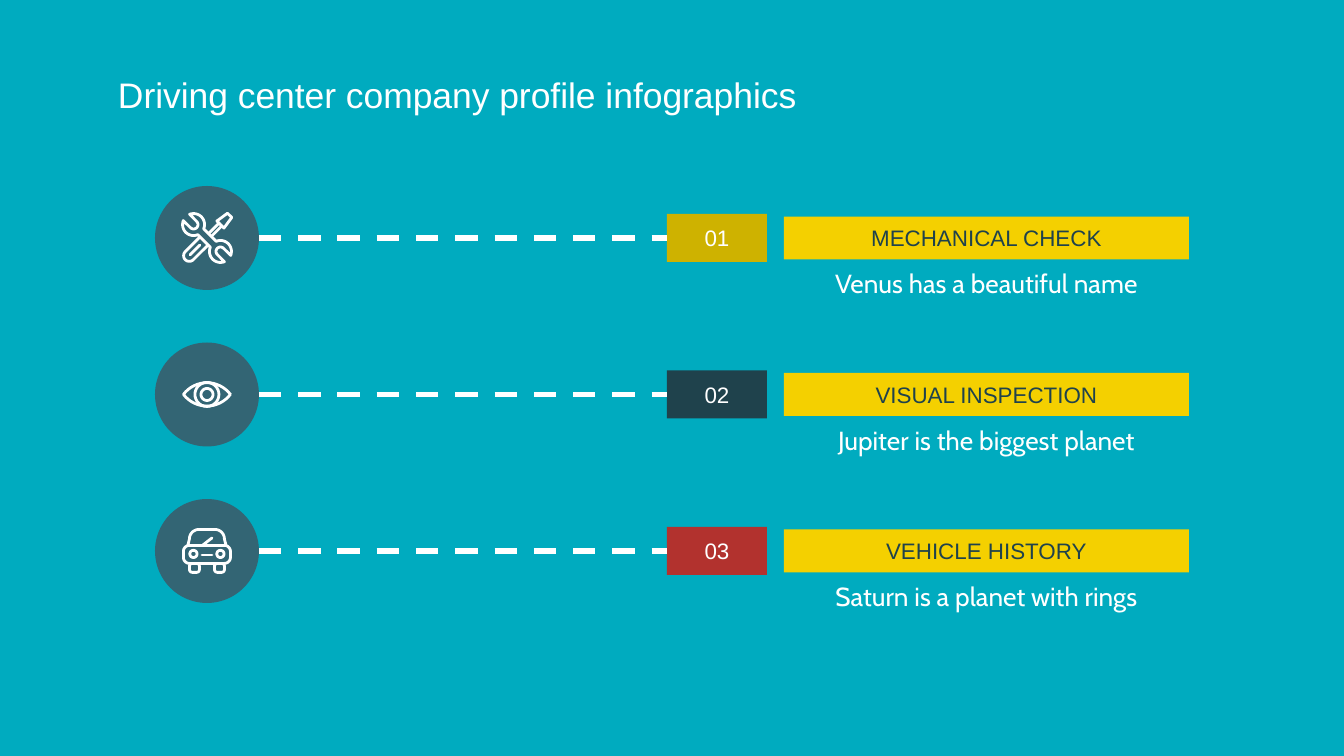
from math import asin, cos, degrees, hypot, radians, sin
from lxml.etree import SubElement
from pptx import Presentation
from pptx.dml.color import RGBColor
from pptx.enum.dml import MSO_LINE
from pptx.enum.shapes import MSO_CONNECTOR as Link, MSO_SHAPE as Shape
from pptx.enum.text import MSO_ANCHOR as Anchor, PP_ALIGN as Align
from pptx.oxml.ns import qn
from pptx.util import Pt

PX = 914400 / 134.4
HUE = {"back": "00ABBF", "white": "FFFFFF", "label": "F4D000", "dark": "1F424C",
       "disc": "336574", "gold": "CEB200", "red": "B2322E"}
TITLE = "Driving center company profile infographics"
ROWS = [
    ("01", "gold", "MECHANICAL CHECK", "Venus has a beautiful name", "tools"),
    ("02", "dark", "VISUAL INSPECTION", "Jupiter is the biggest planet", "eye"),
    ("03", "red", "VEHICLE HISTORY", "Saturn is a planet with rings", "car"),
]
TOP, STEP = 238, 156.5
DISC_X, DISC_R = 207, 52
BADGE_X, BADGE_W, BADGE_H = 667, 100, 48
LABEL_X, LABEL_W, LABEL_H = 784, 405, 43
PAD, STROKE = 13, 1.5

deck = Presentation()
deck.slide_width, deck.slide_height = round(1344 * PX), round(756 * PX)
slide = deck.slides.add_slide(deck.slide_layouts[6])
pool = slide.shapes


def arc(x, y, r, start, end, steps=16):
    turns = [radians(start + (end - start) * i / steps) for i in range(steps + 1)]
    return [(x + r * cos(t), y + r * sin(t)) for t in turns]


def ring(x, y, r):
    return arc(x, y, r, 0, 360, 32)


def close(path):
    return path + path[:1]


def turn(path, angle):
    c, s = cos(radians(angle)), sin(radians(angle))
    return [(x * c - y * s, x * s + y * c) for x, y in path]


def soft_box(x, y, w, h, r):
    a, b = w / 2 - r, h / 2 - r
    spots = [(a, b), (-a, b), (-a, -b), (a, -b)]
    return close([p for i, (dx, dy) in enumerate(spots)
                  for p in arc(x + dx, y + dy, r, 90 * i, 90 * i + 90)])


def eye():
    half, rise = 23.5, 11.7
    r = hypot(half, rise) ** 2 / (2 * rise)
    sweep = degrees(asin(half / r))
    lid = arc(0, r - rise, r, -90 - sweep, -90 + sweep)
    return [close(lid + turn(lid, 180)), ring(0, 0, 12), ring(0, 0, 6)]


def car():
    roof = arc(-8, -12, 9.5, 180, 270) + arc(8, -12, 9.5, 270, 360)
    cabin = [(-19, -6)] + roof + [(19, -6)]
    body = soft_box(0, 3.5, 47, 18, 6)
    wiper, grille = [(-4, -6), (5, -13)], [(-5, 4), (5, 4)]
    sides = [part for s in (-1, 1)
             for part in (ring(s * 13.5, 3, 3.6), soft_box(s * 12.5, 17, 10, 9, 3))]
    return [cabin, body, wiper, grille] + sides


def tools():
    reach, head, jaw = 19, 11, 4.4
    half = (arc(0, -reach, head, -66, 68) + arc(0, reach, head, -68, 66)
            + arc(0, reach, jaw, 0, -180))
    wrench = close(half + turn(half, 180))
    tip = close([(-3, -32), (3, -32), (5, -19), (-5, -19)])
    shaft = [[(x, -19), (x, -5)] for x in (-2, 2)]
    grip = [(5.7, 5)] + arc(0, 25, 5.7, 0, 180) + [(-5.7, 5)]
    slot = [(0, 10), (0, 24)]
    driver = [tip, grip, slot] + shaft
    return [turn(wrench, -45)] + [turn(part, 45) for part in driver]


ICONS = {"tools": tools(), "eye": eye(), "car": car()}


def rgb(name):
    return RGBColor.from_string(HUE[name])


def emu(*sizes):
    return [round(n * PX) for n in sizes]


def block(kind, hue, *box):
    shape = pool.add_shape(kind, *emu(*box))
    shape.shadow.inherit = False
    shape.fill.solid()
    shape.fill.fore_color.rgb = rgb(hue)
    shape.line.fill.background()
    return shape


def write(shape, text, size, hue="white", font="Arial", align=Align.CENTER,
          anchor=Anchor.MIDDLE):
    frame = shape.text_frame
    frame.text = text
    frame.word_wrap = True
    frame.vertical_anchor = anchor
    frame.margin_left = frame.margin_right = round(PAD * PX)
    frame.margin_top = frame.margin_bottom = round(PAD * PX)
    para = frame.paragraphs[0]
    para.alignment = align
    face = para.runs[0].font
    face.size, face.name, face.color.rgb = Pt(size), font, rgb(hue)


def ink(shape, width):
    shape.line.color.rgb = rgb("white")
    shape.line.width = Pt(width)


def link(start, end, width):
    line = pool.add_connector(Link.STRAIGHT, *emu(*start, *end))
    ink(line, width)
    SubElement(line.element.spPr, qn("a:effectLst"))
    return line


def trace(path, x, y):
    spots = [(x + dx, y + dy) for dx, dy in path]
    if len(spots) == 2:
        shape = link(*spots, STROKE)
    else:
        pen = pool.build_freeform(*emu(*spots[0]))
        pen.add_line_segments([emu(*spot) for spot in spots[1:]], close=False)
        shape = pen.convert_to_shape()
        shape.shadow.inherit = False
        shape.fill.background()
        ink(shape, STROKE)
    shape.element.spPr.get_or_add_ln().set("cap", "rnd")


slide.background.fill.solid()
slide.background.fill.fore_color.rgb = rgb("back")
write(pool.add_textbox(*emu(105, 60, 1134, 85)), TITLE, 19,
      align=Align.LEFT, anchor=Anchor.TOP)

for i, (num, hue, head, note, icon) in enumerate(ROWS):
    mid = TOP + i * STEP
    label = block(Shape.RECTANGLE, "label", LABEL_X, mid - LABEL_H / 2, LABEL_W, LABEL_H)
    write(label, head, 12, "dark")
    text = pool.add_textbox(*emu(LABEL_X, mid + LABEL_H / 2, LABEL_W, BADGE_H))
    write(text, note, 14, font="Cabin")
    badge = block(Shape.RECTANGLE, hue, BADGE_X, mid - BADGE_H / 2, BADGE_W, BADGE_H)
    write(badge, num, 12)
    block(Shape.OVAL, "disc", DISC_X - DISC_R, mid - DISC_R, 2 * DISC_R, 2 * DISC_R)
    line = link((DISC_X + DISC_R, mid), (BADGE_X, mid), 3)
    line.end_connect(badge, 1)
    line.line.dash_style = MSO_LINE.DASH
    for path in ICONS[icon]:
        trace(path, DISC_X, mid)

deck.save("out.pptx")
